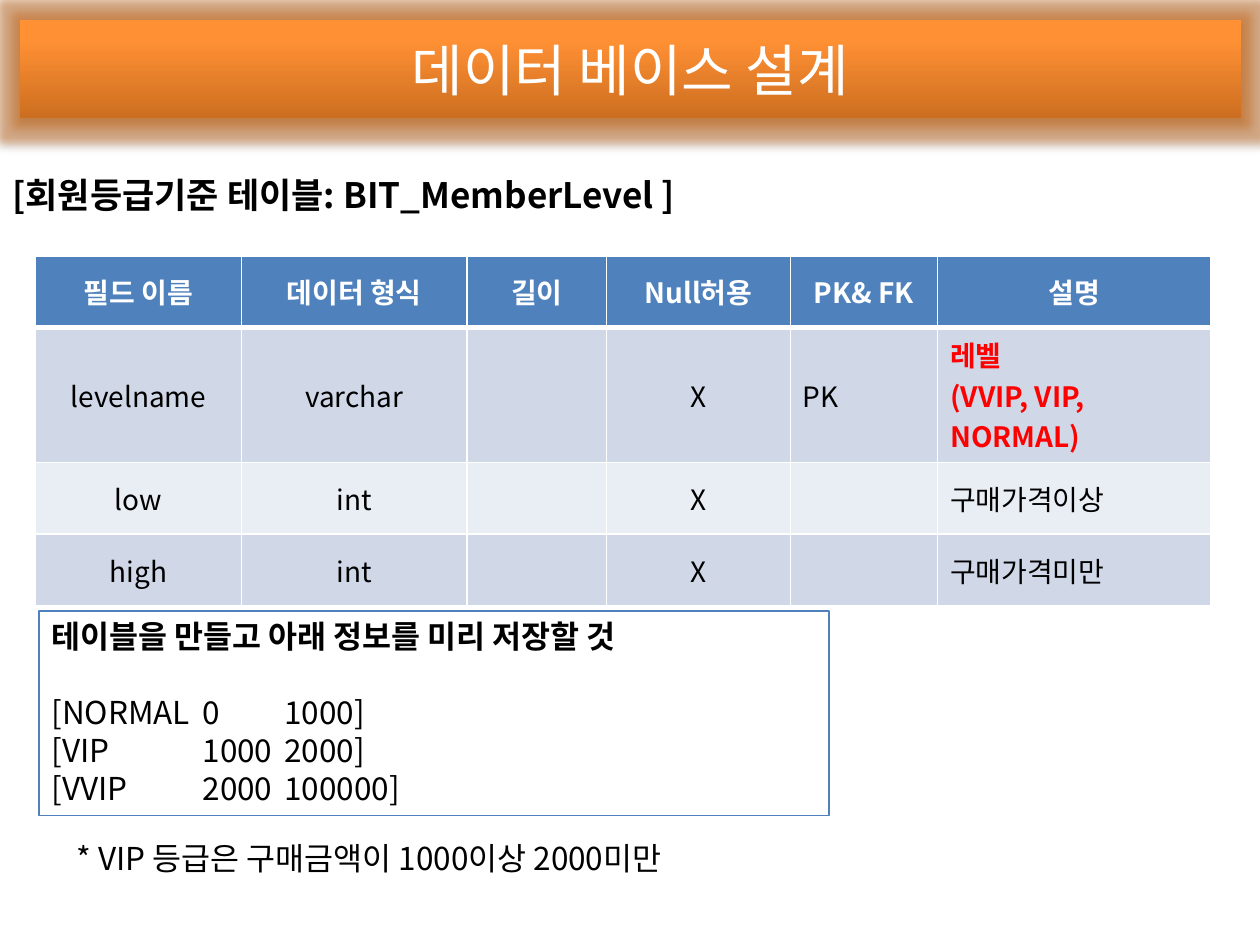
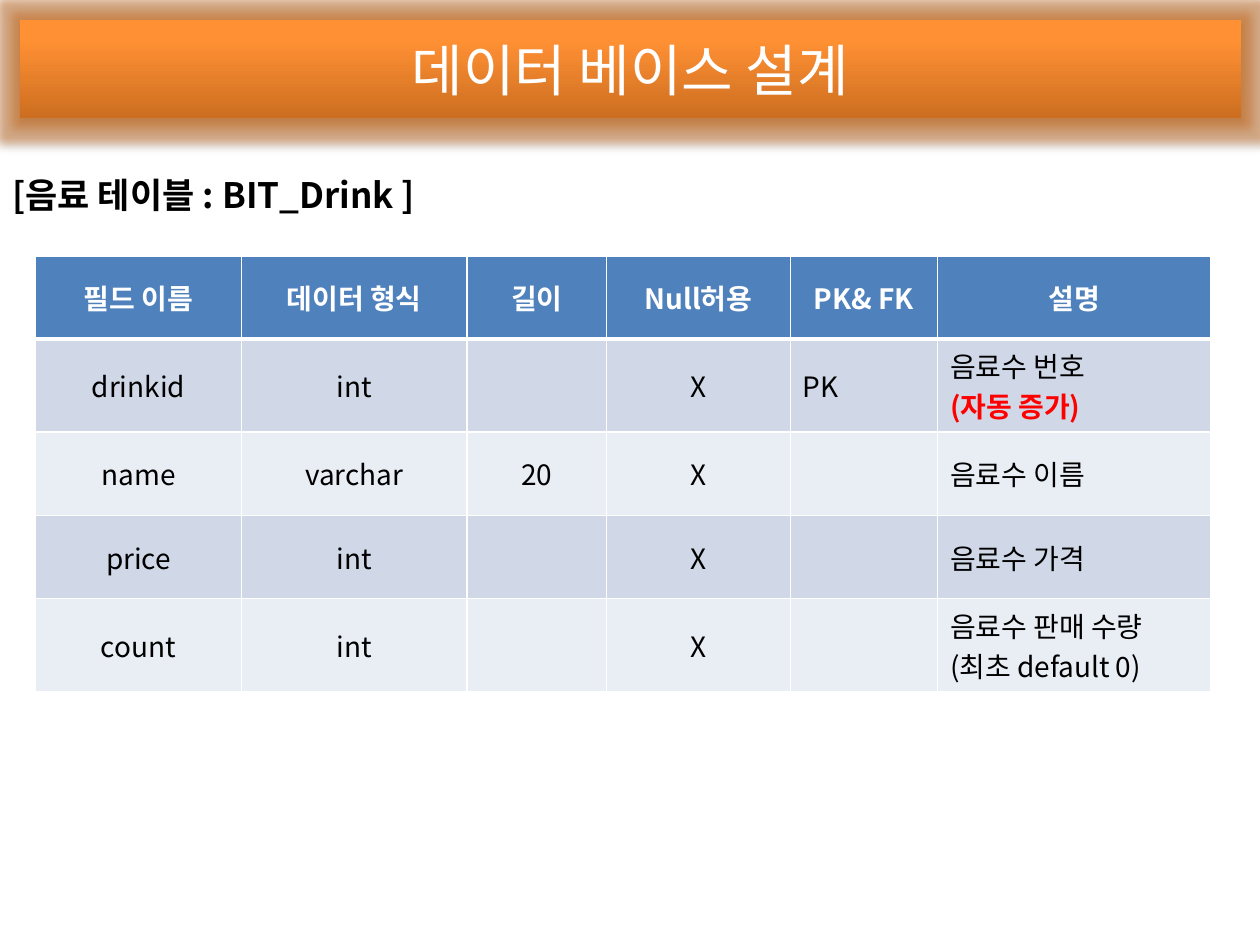
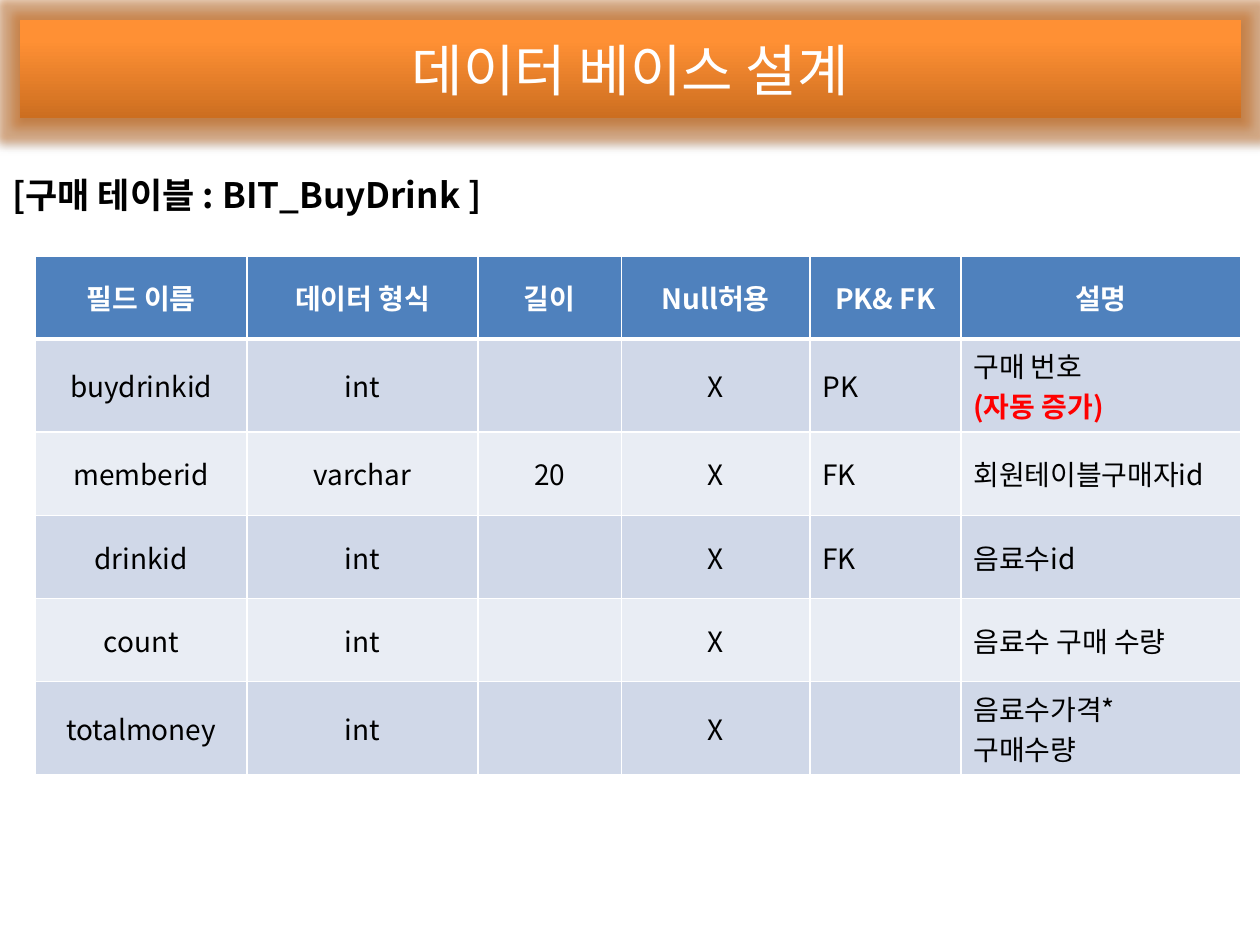
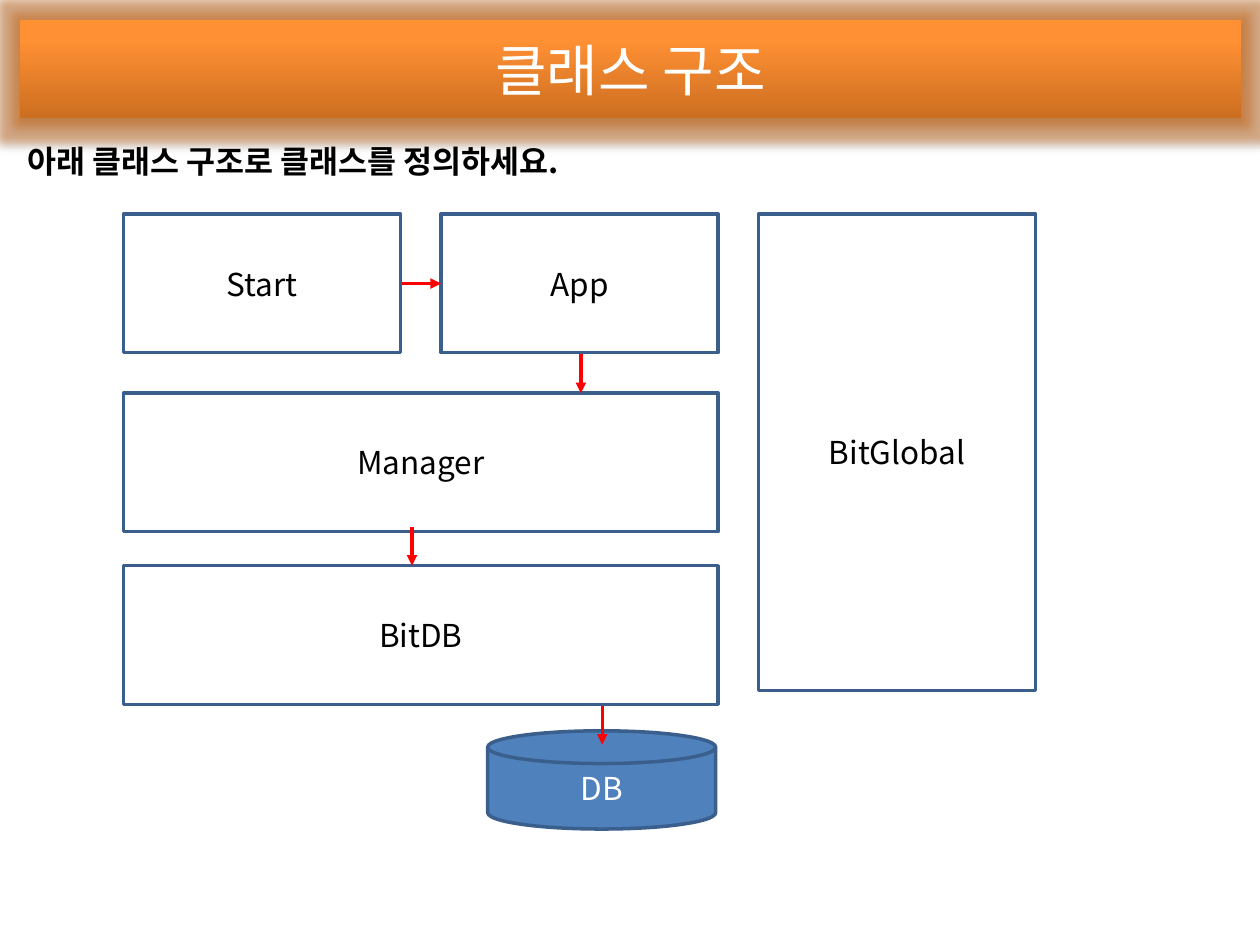
from pptx import Presentation
from pptx.dml.color import RGBColor
from pptx.enum.shapes import MSO_CONNECTOR, MSO_SHAPE
from pptx.enum.text import MSO_ANCHOR, PP_ALIGN
from pptx.oxml import parse_xml
from pptx.oxml.ns import nsdecls, qn
from pptx.util import Inches, Pt
from lxml.etree import SubElement

FONT = "Noto Sans CJK KR"
COLORS = {
    "white": "FFFFFF", "black": "000000", "red": "FF0000",
    "blue": "4F81BD", "navy": "3A5F8C",
    "odd_row": "D0D8E8", "even_row": "E9EDF4",
    "band_dark": "CC6E20", "band_mid": "FF9034", "band_light": "FF9136",
}
RGB = {name: RGBColor.from_string(code) for name, code in COLORS.items()}


def write(para, text, size, color="black", bold=False):
    """Add one run, using the same font for Latin and Korean letters."""
    span = para.add_run()
    span.text = text
    span.font.size = Pt(size)
    span.font.bold = bold
    span.font.name = FONT
    span.font.color.rgb = RGB[color]
    SubElement(span.font._element, qn("a:ea")).set("typeface", FONT)


def add_text(page, place, lines, size=18):
    """Add a text box from (text, bold) lines, set tighter than the font's own spacing."""
    box = page.shapes.add_textbox(*map(Inches, place))
    box.text_frame.word_wrap = True
    for number, (text, bold) in enumerate(lines):
        para = box.text_frame.paragraphs[0] if number == 0 else box.text_frame.add_paragraph()
        para.line_spacing = Pt(size * 1.2)
        write(para, text, size, bold=bold)
    return box


deck = Presentation()
deck.slide_width, deck.slide_height = Inches(10), Inches(7.5)

# Pages with the shared title band
pages = []
for title in ["데이터 베이스 설계"] * 3 + ["클래스 구조"]:
    page = deck.slides.add_slide(deck.slide_layouts[6])
    pages.append(page)
    band = page.shapes.add_shape(
        MSO_SHAPE.RECTANGLE, Inches(0.16), Inches(0.16), Inches(9.69), Inches(0.78))
    band.line.fill.background()
    band.shadow.inherit = False
    properties = band._element.spPr
    stops = "".join(
        f'<a:gs pos="{percent * 1000}"><a:srgbClr val="{COLORS[name]}"/></a:gs>'
        for percent, name in [(0, "band_dark"), (80, "band_mid"), (100, "band_light")])
    properties.find(qn("a:prstGeom")).addnext(parse_xml(
        f'<a:gradFill {nsdecls("a")} rotWithShape="1"><a:gsLst>{stops}</a:gsLst>'
        '<a:lin ang="16200000" scaled="0"/></a:gradFill>'))
    effects = properties.find(qn("a:effectLst"))
    effects.append(parse_xml(
        f'<a:glow {nsdecls("a")} rad="{Pt(10)}"><a:srgbClr val="{COLORS["band_dark"]}">'
        '<a:alpha val="45000"/></a:srgbClr></a:glow>'))
    effects.append(parse_xml(
        f'<a:outerShdw {nsdecls("a")} blurRad="{Pt(3.1)}" dist="{Pt(1.8)}" dir="5400000" '
        f'rotWithShape="0"><a:srgbClr val="{COLORS["black"]}">'
        '<a:alpha val="35000"/></a:srgbClr></a:outerShdw>'))
    band.text_frame.vertical_anchor = MSO_ANCHOR.MIDDLE
    para = band.text_frame.paragraphs[0]
    para.alignment = PP_ALIGN.CENTER
    write(para, title, 32, "white")

# Database tables: heading, table width, row heights, fields
HEADER = ("필드 이름", "데이터 형식", "길이", "Null허용", "PK& FK", "설명")
COLUMN_WIDTHS = (1.64, 1.79, 1.11, 1.46, 1.17, 2.17)
RED_LINES = {"레벨", "(VVIP, VIP, NORMAL)", "(자동 증가)"}
TABLES = [
    ("[회원등급기준 테이블: BIT_MemberLevel ]", 9.33, [0.57, 1.07, 0.57, 0.57], [
        ("levelname", "varchar", "", "X", "PK", "레벨\n(VVIP, VIP, NORMAL)"),
        ("low", "int", "", "X", "", "구매가격이상"),
        ("high", "int", "", "X", "", "구매가격미만"),
    ]),
    ("[음료 테이블 : BIT_Drink ]", 9.33, [0.66, 0.74, 0.66, 0.66, 0.74], [
        ("drinkid", "int", "", "X", "PK", "음료수 번호\n(자동 증가)"),
        ("name", "varchar", "20", "X", "", "음료수 이름"),
        ("price", "int", "", "X", "", "음료수 가격"),
        ("count", "int", "", "X", "", "음료수 판매 수량\n(최초 default 0)"),
    ]),
    ("[구매 테이블 : BIT_BuyDrink ]", 9.57, [0.66, 0.74, 0.66, 0.66, 0.66, 0.74], [
        ("buydrinkid", "int", "", "X", "PK", "구매 번호\n(자동 증가)"),
        ("memberid", "varchar", "20", "X", "FK", "회원테이블구매자id"),
        ("drinkid", "int", "", "X", "FK", "음료수id"),
        ("count", "int", "", "X", "", "음료수 구매 수량"),
        ("totalmoney", "int", "", "X", "", "음료수가격*\n구매수량"),
    ]),
]
for page, (heading, width, heights, fields) in zip(pages, TABLES):
    add_text(page, (0, 1.33, 10, 6.17), [(heading, True)], size=20)
    table = page.shapes.add_table(
        len(heights), len(HEADER), Inches(0.28), Inches(2.03),
        Inches(width), Inches(sum(heights))).table
    table.horz_banding = False
    for column, share in zip(table.columns, COLUMN_WIDTHS):
        column.width = Inches(width * share / sum(COLUMN_WIDTHS))
    for row_number, texts in enumerate([HEADER] + fields):
        table.rows[row_number].height = Inches(heights[row_number])
        is_header = row_number == 0
        fill = "blue" if is_header else "odd_row" if row_number % 2 else "even_row"
        for column_number, text in enumerate(texts):
            cell = table.cell(row_number, column_number)
            cell.vertical_anchor = MSO_ANCHOR.MIDDLE
            for side in "LRTB":
                thick = (side, row_number) in {("B", 0), ("T", 1)}
                cell._tc.get_or_add_tcPr().append(parse_xml(
                    f'<a:ln{side} {nsdecls("a")} w="{Pt(3 if thick else 1)}"><a:solidFill>'
                    f'<a:srgbClr val="{COLORS["white"]}"/></a:solidFill></a:ln{side}>'))
            cell.fill.solid()
            cell.fill.fore_color.rgb = RGB[fill]
            for number, line in enumerate(text.split("\n") if text else []):
                para = cell.text_frame.paragraphs[0] if number == 0 else cell.text_frame.add_paragraph()
                centered = is_header or column_number < 4
                para.alignment = PP_ALIGN.CENTER if centered else PP_ALIGN.LEFT
                is_red = line in RED_LINES
                color = "white" if is_header else "red" if is_red else "black"
                write(para, line, 16, color, is_header or is_red)

# Member level values to store
levels = add_text(pages[0], (0.31, 4.85, 6.27, 1.62), [
    ("테이블을 만들고 아래 정보를 미리 저장할 것", True),
    ("[NORMAL\t0\t1000]", False),
    ("[VIP\t1000\t2000]", False),
    ("[VVIP\t2000\t100000]", False),
])
levels.line.color.rgb = RGB["blue"]
levels.line.width = Pt(0.75)
level_rows = levels.text_frame.paragraphs[1:]
level_rows[0].space_before = Pt(21.6)
for para in level_rows:
    tabs = SubElement(para._p.get_or_add_pPr(), qn("a:tabLst"))
    for position in (1.2, 1.85):
        SubElement(tabs, qn("a:tab"), pos=str(Inches(position)), algn="l")
add_text(pages[0], (0.51, 6.61, 6.27, 0.4),
         [("* VIP 등급은 구매금액이 1000이상 2000미만", False)])

# Class structure
page = pages[3]
CLASSES = [
    ("Start", 0.98, 1.7, 2.2, 1.1),
    ("App", 3.5, 1.7, 2.2, 1.1),
    ("Manager", 0.98, 3.12, 4.72, 1.1),
    ("BitDB", 0.98, 4.49, 4.72, 1.1),
    ("DB", 3.87, 5.8, 1.81, 0.78),
    ("BitGlobal", 6.02, 1.7, 2.2, 3.78),
]
for name, *place in CLASSES:
    is_store = name == "DB"
    kind = MSO_SHAPE.FLOWCHART_MAGNETIC_DISK if is_store else MSO_SHAPE.RECTANGLE
    box = page.shapes.add_shape(kind, *map(Inches, place))
    box.shadow.inherit = False
    if is_store:
        box.fill.solid()
        box.fill.fore_color.rgb = RGB["blue"]
    else:
        box.fill.background()
    box.line.color.rgb = RGB["navy"]
    box.line.width = Pt(2)
    box.text_frame.vertical_anchor = MSO_ANCHOR.MIDDLE
    para = box.text_frame.paragraphs[0]
    para.alignment = PP_ALIGN.CENTER
    write(para, name, 18, "white" if is_store else "black")

ARROWS = [
    (3.19, 2.25, 3.5, 2.25),
    (4.61, 2.81, 4.61, 3.12),
    (3.27, 4.18, 3.27, 4.49),
    (4.78, 5.6, 4.78, 5.91),
]
for ends in ARROWS:
    arrow = page.shapes.add_connector(MSO_CONNECTOR.STRAIGHT, *map(Inches, ends))
    arrow.line.color.rgb = RGB["red"]
    arrow.line.width = Pt(2)
    SubElement(arrow.line._get_or_add_ln(), qn("a:tailEnd"), type="triangle")
    SubElement(arrow._element.spPr, qn("a:effectLst"))

add_text(page, (0.12, 1.08, 7.56, 0.4), [("아래 클래스 구조로 클래스를 정의하세요.", True)])

deck.save("out.pptx")
